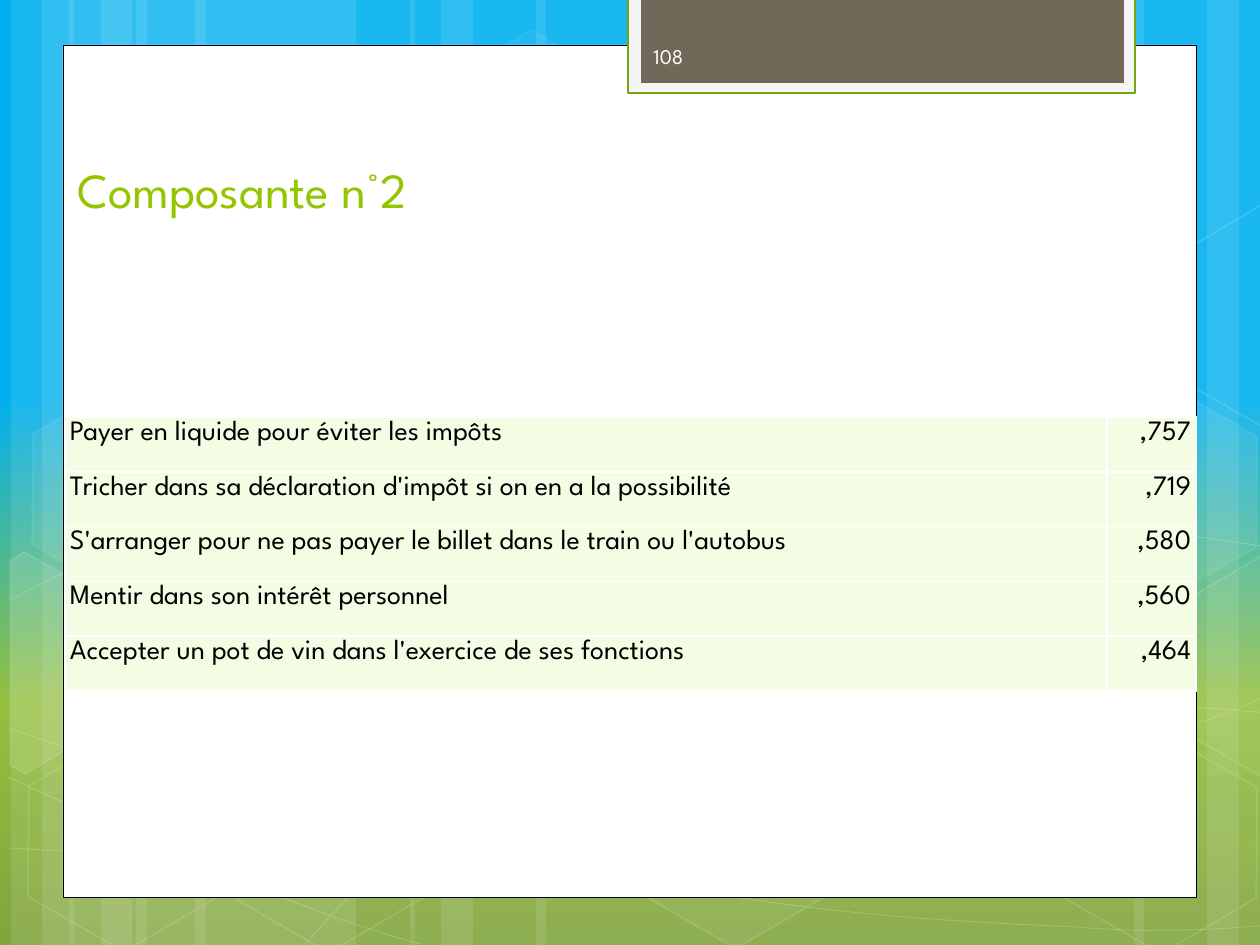
"""Build the slide 'Composante n°2': a table of loadings on a sky-and-grass background."""
import math
import pptx
import pptx.util
import pptx.dml.color
import pptx.enum.shapes
import pptx.enum.text
import pptx.oxml.ns
import lxml.etree

TITLE = "Composante n°2"
PAGE = "108"
ROWS = [
    ("Payer en liquide pour éviter les impôts", ",757"),
    ("Tricher dans sa déclaration d'impôt si on en a la possibilité", ",719"),
    ("S'arranger pour ne pas payer le billet dans le train ou l'autobus", ",580"),
    ("Mentir dans son intérêt personnel", ",560"),
    ("Accepter un pot de vin dans l'exercice de ses fonctions", ",464"),
]
COLUMNS = (1042, 89)
TABLE_HEIGHT = 274

BANDS = [(136, 220), (11, 63), (42, 105), (195, 220), (69, 63), (101, 105),
         (924, 220), (1207, 63), (1134, 105), (536, 388), (410, 63), (441, 105)]
CURVES = [
    [(9, 848), (77, 852), (145, 856), (239, 854), (334, 853), (451, 850), (577, 838),
     (703, 825), (882, 801), (998, 777), (1113, 753), (1231, 716), (1269, 694)],
    [(9, 601), (45, 581), (82, 562), (152, 543), (224, 524), (326, 499), (437, 488),
     (549, 478), (685, 478), (824, 488), (963, 498), (1193, 537), (1269, 547)],
    [(8, 777), (160, 847), (311, 916), (421, 944)],
    [(9, 728), (48, 742), (88, 756), (161, 776), (234, 795), (344, 827), (450, 848),
     (554, 869), (687, 892), (791, 905), (896, 919), (1008, 924), (1075, 927),
     (1140, 932), (1158, 930), (1191, 930), (1223, 929), (1246, 927), (1269, 925)],
    [(305, 944), (328, 919), (350, 893), (381, 871), (411, 848), (454, 823), (489, 805),
     (524, 788), (546, 780), (592, 767), (638, 755), (722, 737), (766, 728),
     (811, 719), (818, 719), (857, 717), (896, 714), (958, 709), (1000, 708),
     (1045, 707), (1116, 708), (1116, 708), (1116, 708), (1201, 708), (1201, 708),
     (1223, 709), (1245, 711), (1256, 712), (1268, 713), (1264, 712), (1268, 713)],
]
HEXAGONS = [(421, 45, 4, 8), (626, 742, 6, 12), (14, 745, None, 12), (18, 393, 7, 8),
            (219, 746, None, 12), (949, 571, 10, 12), (1051, 747, None, 12), (1051, 396, 7, 8)]
CUT_HEXAGONS = [
    ((45, 674), [(10, 561), (24, 552), (121, 607), (120, 718), (25, 774), (10, 765)], 10),
    ((1241, 655), [(1167, 611), (1261, 556), (1271, 562), (1271, 772), (1263, 777), (1167, 722)], 4),
    ((1241, 304), [(1167, 261), (1261, 205), (1273, 212), (1271, 422), (1263, 427), (1167, 372)], None),
]
TILT = 30
THEME = {
    "font": "League Spartan", "title_size": 28, "page_size": 12, "cell_size": 16,
    "sky": [(0, "00B0F0"), (42, "00B0F0"), (74, "93BF3F"), (100, "81A53E")],
    "white": "FFFFFF", "black": "000000", "title": "94C600", "page": "FEFEFE",
    "tab": "F5F5F5", "tab_line": "74A510", "tab_inner": "71685A", "cell": "F4FCE4",
}
SHAPE = pptx.enum.shapes.MSO_SHAPE
ANCHOR = pptx.enum.text.MSO_ANCHOR
ALIGN = pptx.enum.text.PP_ALIGN
qn = pptx.oxml.ns.qn


def px(n):
    return round(n * 914400 / 126)


def rgb(name):
    return pptx.dml.color.RGBColor.from_string(THEME[name])


def paint(fill, color, alpha=100):
    fill.solid()
    fill.fore_color.rgb = rgb(color)
    if alpha < 100:
        clr = fill._xPr.find(".//" + qn("a:srgbClr"))
        lxml.etree.SubElement(clr, qn("a:alpha"), val=str(alpha * 1000))


def style(sp, fill=None, alpha=100, line=None, width=1, line_alpha=100):
    sp.shadow.inherit = False
    if fill:
        paint(sp.fill, fill, alpha)
    else:
        sp.fill.background()
    if line:
        sp.line.width = pptx.util.Pt(width)
        paint(sp.line.fill, line, line_alpha)
    else:
        sp.line.fill.background()


def add_shape(slide, kind, box, **fmt):
    sp = slide.shapes.add_shape(kind, *map(px, box))
    style(sp, **fmt)
    return sp


def add_outline(slide, points, close, **fmt):
    pts = [(px(x), px(y)) for x, y in points]
    builder = slide.shapes.build_freeform(*pts[0], scale=1.0)
    builder.add_line_segments(pts[1:], close=close)
    sp = builder.convert_to_shape()
    style(sp, **fmt)
    return sp


def add_curve(slide, points, **fmt):
    sp = add_outline(slide, points, False, **fmt)
    outline = sp._element.find(".//" + qn("a:path"))
    segments = outline.findall(qn("a:lnTo"))
    for i in range(0, len(segments), 3):
        curve = lxml.etree.SubElement(outline, qn("a:cubicBezTo"))
        for segment in segments[i:i + 3]:
            curve.append(segment[0])
            outline.remove(segment)


def turn_back(point, centre):
    x, y = point[0] - centre[0], point[1] - centre[1]
    c, s = math.cos(math.radians(TILT)), math.sin(math.radians(TILT))
    return centre[0] + x * c + y * s, centre[1] - x * s + y * c


def write(tf, text, size, color, align=ALIGN.LEFT, spacing=None):
    p = tf.paragraphs[0]
    p.alignment = align
    if spacing:
        p.line_spacing = spacing
    r = p.add_run()
    r.text = text
    r.font.name = THEME["font"]
    r.font.size = pptx.util.Pt(THEME[size])
    r.font.color.rgb = rgb(color)
    return p


def add_text(slide, box, anchor, text, **fmt):
    tf = slide.shapes.add_textbox(*map(px, box)).text_frame
    tf.word_wrap = True
    tf.vertical_anchor = anchor
    write(tf, text, **fmt)


def set_background(slide):
    fill = slide.background.fill
    fill.gradient()
    fill.gradient_angle = 270
    stops = fill._xPr.find(".//" + qn("a:gsLst"))
    for gs in list(stops):
        stops.remove(gs)
    for pos, color in THEME["sky"]:
        gs = lxml.etree.SubElement(stops, qn("a:gs"), pos=str(pos * 1000))
        lxml.etree.SubElement(gs, qn("a:srgbClr"), val=color)


def add_decor(slide):
    for left, width in BANDS:
        add_shape(slide, SHAPE.RECTANGLE, (left, 0, width, 945), fill="white", alpha=10)
    for curve in CURVES:
        add_curve(slide, curve, line="white", width=0.5, line_alpha=20)
    for left, top, alpha, line_alpha in HEXAGONS:
        sp = add_shape(slide, SHAPE.HEXAGON, (left, top, 220, 192), fill=alpha and "white",
                       alpha=alpha or 100, line="white", line_alpha=line_alpha)
        sp.adjustments[0] = 0.285
        sp.adjustments[1] = 1.155
        sp.rotation = TILT
    for centre, points, alpha in CUT_HEXAGONS:
        sp = add_outline(slide, [turn_back(point, centre) for point in points], True,
                         fill=alpha and "white", alpha=alpha or 100, line="white", line_alpha=12)
        sp.rotation = TILT


def add_loadings(slide):
    box = (65, 417, sum(COLUMNS), TABLE_HEIGHT)
    table = slide.shapes.add_table(len(ROWS), len(COLUMNS), *map(px, box)).table
    table.first_row = table.horz_banding = False
    for column, width in zip(table.columns, COLUMNS):
        column.width = px(width)
    for i, row in enumerate(ROWS):
        table.rows[i].height = px(TABLE_HEIGHT / len(ROWS))
        for j, (text, align) in enumerate(zip(row, (ALIGN.LEFT, ALIGN.RIGHT))):
            cell = table.cell(i, j)
            cell.margin_left = cell.margin_right = cell.margin_top = cell.margin_bottom = 0
            paint(cell.fill, "cell")
            p = write(cell.text_frame, text, "cell_size", "black", align, 1.15)
            for name, value in (("marL", px(5)), ("marR", px(5)), ("indent", 0)):
                p._p.get_or_add_pPr().set(name, str(value))


def main():
    prs = pptx.Presentation()
    prs.slide_width, prs.slide_height = px(1260), px(945)
    slide = prs.slides.add_slide(prs.slide_layouts[6])
    set_background(slide)
    add_decor(slide)
    add_shape(slide, SHAPE.RECTANGLE, (63, 45, 1134, 853), fill="white", line="black", width=0.5)
    add_shape(slide, SHAPE.RECTANGLE, (628, -3, 507, 96), fill="tab", line="tab_line", width=1.25)
    add_shape(slide, SHAPE.RECTANGLE, (641, -3, 483, 86), fill="tab_inner")
    add_text(slide, (65, 136, 784, 89), ANCHOR.BOTTOM, TITLE, size="title_size", color="title")
    add_text(slide, (641, 31, 184, 50), ANCHOR.MIDDLE, PAGE, size="page_size", color="page")
    add_loadings(slide)
    prs.save("out.pptx")


if __name__ == "__main__":
    main()
